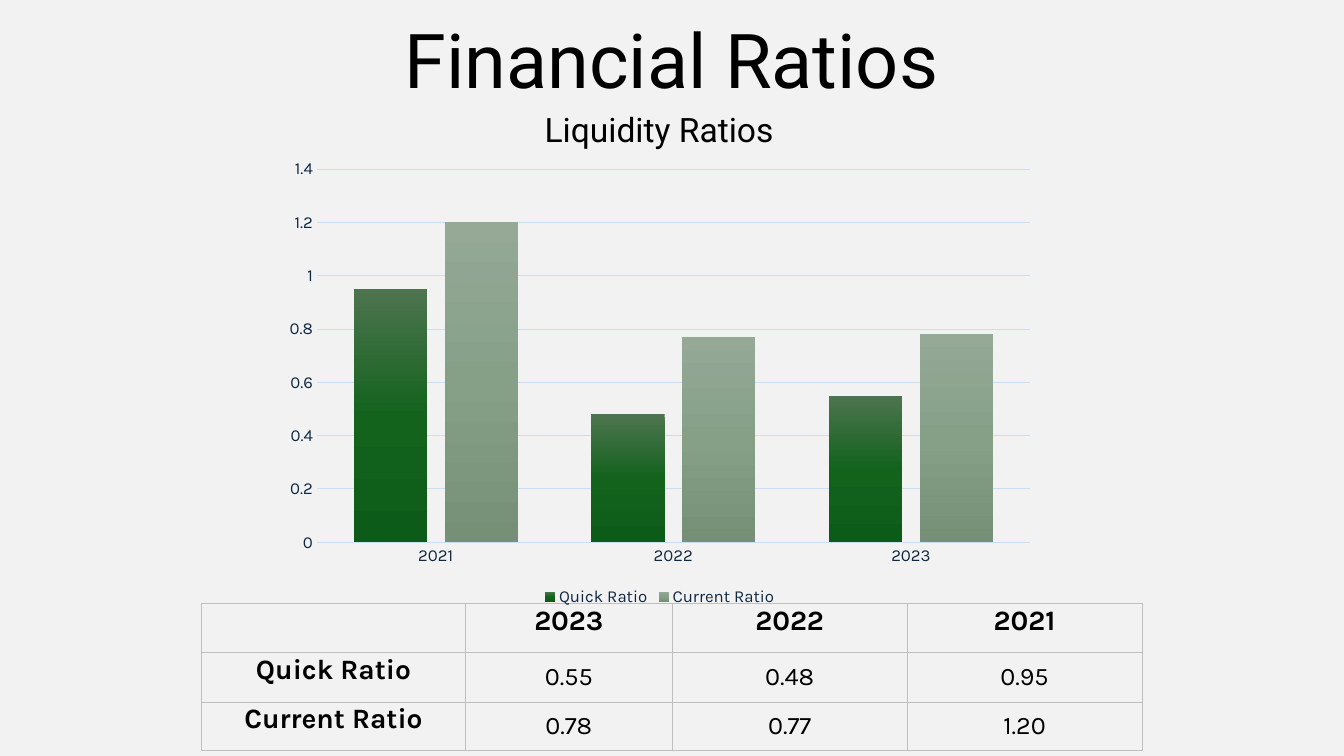
from lxml.etree import SubElement
from pptx import Presentation
from pptx.chart.data import CategoryChartData
from pptx.dml.color import RGBColor
from pptx.enum.chart import XL_CHART_TYPE, XL_LEGEND_POSITION, XL_TICK_MARK
from pptx.enum.text import MSO_ANCHOR, MSO_AUTO_SIZE, PP_ALIGN
from pptx.oxml import parse_xml
from pptx.oxml.ns import nsdecls, qn
from pptx.util import Cm, Pt


def set_font(font, color, **values):
    for name, value in values.items():
        setattr(font, name, value)
    font.color.rgb = RGBColor.from_string(color)


def write(frame, text, anchor, formats, **font_values):
    frame.word_wrap = True
    frame.vertical_anchor = anchor
    para = frame.paragraphs[0]
    para.alignment = PP_ALIGN.CENTER
    for name, value in formats.items():
        setattr(para, name, value)
    span = para.add_run()
    span.text = text
    set_font(span.font, "000000", **font_values)


deck = Presentation()
deck.slide_width, deck.slide_height = Cm(33.87), Cm(19.05)
page = deck.slides.add_slide(deck.slide_layouts[5])
page.background.fill.solid()
page.background.fill.fore_color.rgb = RGBColor.from_string("F2F2F2")

title = page.shapes.title
title.left, title.top, title.width, title.height = Cm(5.84), Cm(0.76), Cm(22.17), Cm(2.01)
title.text_frame.auto_size = MSO_AUTO_SIZE.NONE
write(title.text_frame, "Financial Ratios", MSO_ANCHOR.BOTTOM,
      {"line_spacing": 0.9}, name="Roboto", size=Pt(54))

subtitle = page.shapes.add_textbox(Cm(3.91), Cm(2.74), Cm(25.4), Cm(4.6))
write(subtitle.text_frame, "Liquidity Ratios", MSO_ANCHOR.TOP,
      {"line_spacing": 0.9, "space_before": Pt(10)}, name="Roboto", size=Pt(24))

years = ["2021", "2022", "2023"]
ratios = {
    "Quick Ratio": [0.95, 0.48, 0.55],
    "Current Ratio": [1.2, 0.77, 0.78],
}
gradients = [["4D744F", "13631D", "0D5B18"], ["95A996", "86A088", "768F77"]]

table = page.shapes.add_table(3, 4, Cm(5.08), Cm(15.21), Cm(23.7), Cm(3.68)).table
table.first_row = table.horz_banding = False
for column, width in zip(table.columns, [6.65, 5.21, 5.92, 5.92]):
    column.width = Cm(width)
for row, height in zip(table.rows, [1.24, 1.24, 1.22]):
    row.height = Cm(height)

rows = [[""] + years[::-1]]
for ratio, values in ratios.items():
    rows.append([ratio] + [f"{value:.2f}" for value in reversed(values)])

for row_index, texts in enumerate(rows):
    for column_index, text in enumerate(texts):
        cell = table.cell(row_index, column_index)
        cell.fill.background()
        for position, side in enumerate(["lnL", "lnR", "lnT", "lnB"]):
            border = parse_xml(
                f'<a:{side} {nsdecls("a")} w="9525"><a:solidFill>'
                f'<a:srgbClr val="BFBFBF"/></a:solidFill></a:{side}>')
            cell._tc.get_or_add_tcPr().insert(position, border)
        if not text:
            continue
        heading = row_index == 0 or column_index == 0
        if heading:
            cell.margin_left = cell.margin_right = Cm(0.18)
        write(cell.text_frame, text, None,
              {"line_spacing": Pt(13.5)} if heading else {},
              name="Karla", size=Pt(20 if heading else 18), bold=heading)
        cell.vertical_anchor = MSO_ANCHOR.MIDDLE

chart_data = CategoryChartData()
chart_data.categories = years
for ratio, values in ratios.items():
    chart_data.add_series(ratio, values)
chart = page.shapes.add_chart(XL_CHART_TYPE.COLUMN_CLUSTERED, Cm(6.91), Cm(3.78),
                              Cm(19.43), Cm(11.61), chart_data).chart
chart.has_title = False
chart.has_legend = True
chart.legend.position = XL_LEGEND_POSITION.BOTTOM
chart.legend.include_in_layout = False
set_font(chart.font, "000000", name="Karla", size=Pt(10))
set_font(chart.legend.font, "0E2841", name="Karla", size=Pt(12))

for axis in (chart.category_axis, chart.value_axis):
    axis.major_tick_mark = axis.minor_tick_mark = XL_TICK_MARK.NONE
    set_font(axis.tick_labels.font, "0E2841", name="Karla", size=Pt(12))
chart.value_axis.format.line.fill.background()
chart.value_axis.has_major_gridlines = True
for line in (chart.category_axis.format.line, chart.value_axis.major_gridlines.format.line):
    line.color.rgb = RGBColor.from_string("CADFF4")
    line.width = Pt(0.75)

plot = chart.plots[0]
plot.gap_width, plot.overlap, plot.vary_by_categories = 100, -24, False
for series, colors in zip(plot.series, gradients):
    series.invert_if_negative = False
    fill = series.format.fill
    fill.gradient()
    fill.gradient_angle = 270
    stops = series._element.find(".//" + qn("a:gsLst"))
    for stop in list(stops):
        stops.remove(stop)
    for index, color in enumerate(colors):
        stop = SubElement(stops, qn("a:gs"), pos=str(index * 50000))
        SubElement(stop, qn("a:srgbClr"), val=color)

deck.save("out.pptx")
